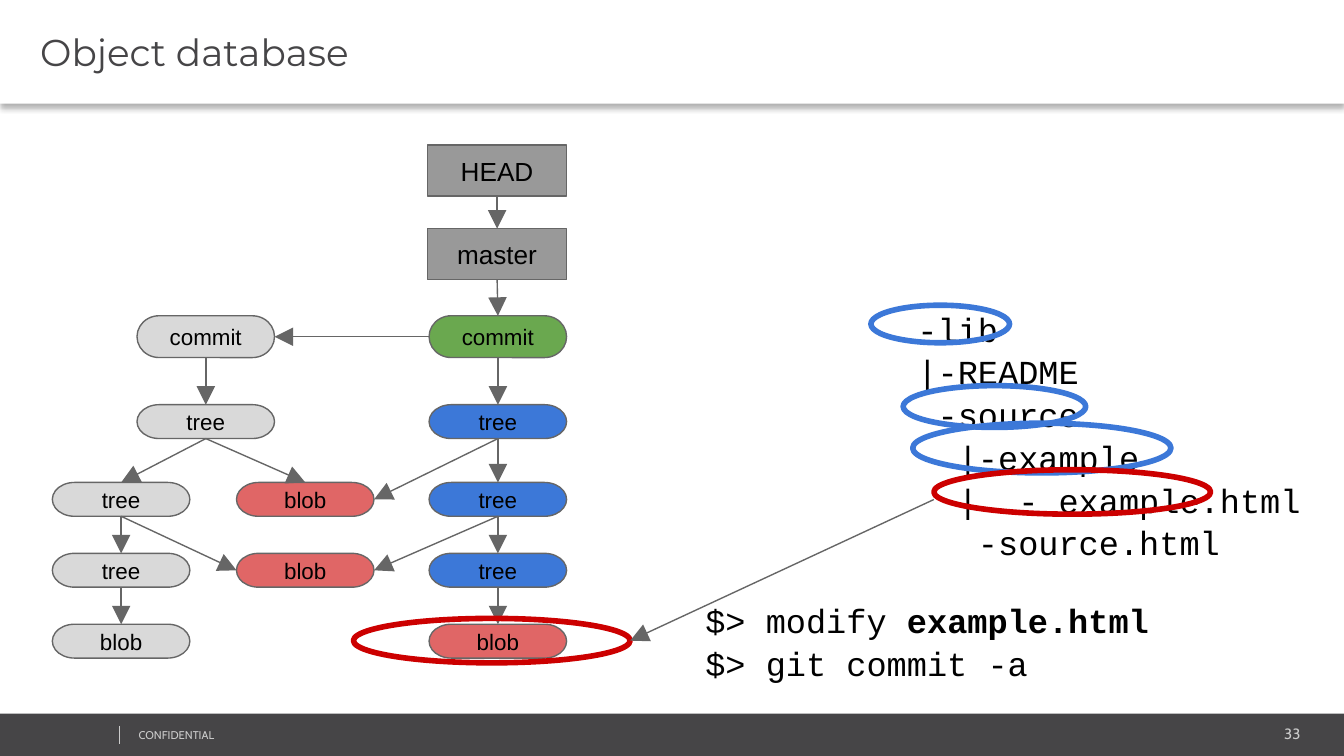
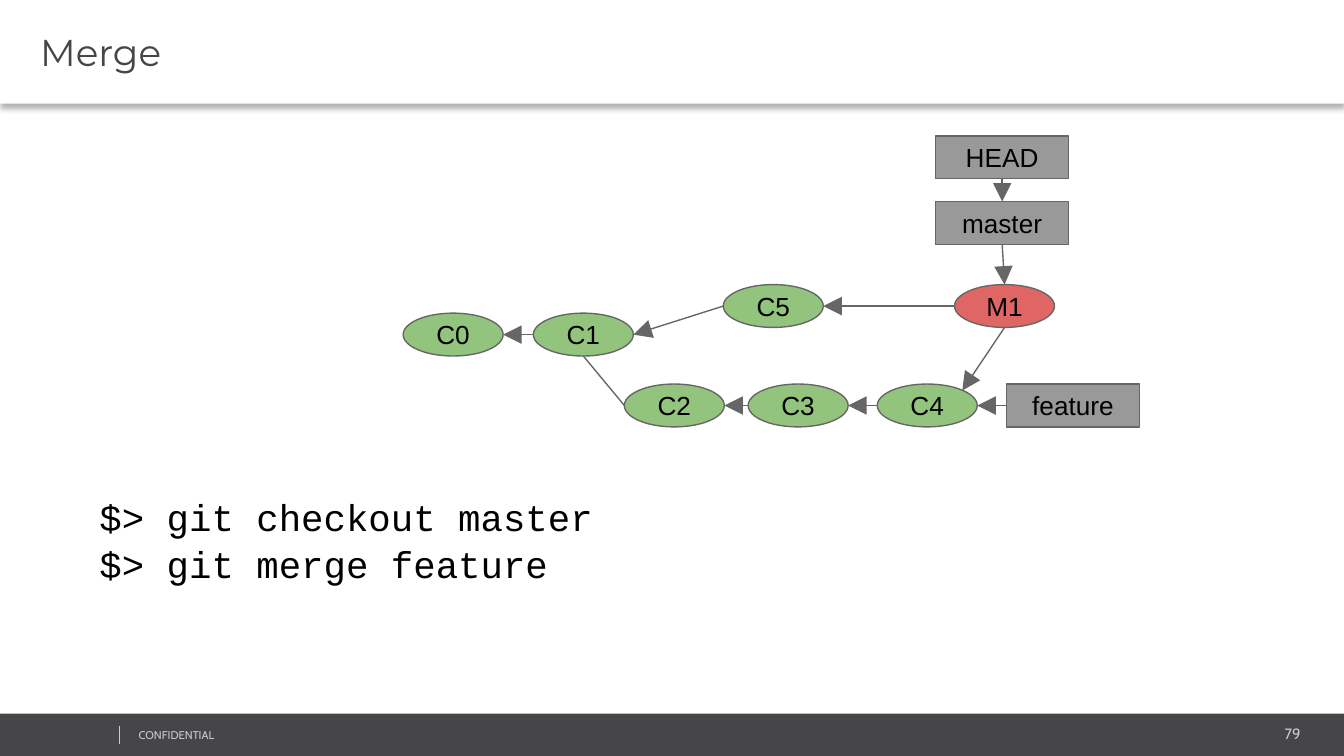
"""Build two slides on the git object database and on merging."""
from pptx import Presentation
from pptx.dml.color import RGBColor
from pptx.enum.shapes import MSO_CONNECTOR as Link, MSO_SHAPE as Kind
from pptx.enum.text import MSO_ANCHOR as Anchor, PP_ALIGN as Align
from pptx.oxml import parse_xml
from pptx.oxml.ns import nsdecls, qn
from pptx.util import Cm, Pt

COLORS = {
    "white": "FFFFFF", "black": "000000", "charcoal": "464547", "footer": "CCCCCC",
    "line": "666666", "ref": "999999", "old": "D9D9D9", "commit": "6AA84F",
    "tree": "3C78D8", "blob": "E06666", "red": "CC0000", "leaf": "93C47D",
}
RGB = {name: RGBColor.from_string(value) for name, value in COLORS.items()}
SIDES = {
    "top": (0.5, 0, 0), "left": (0, 0.5, 1), "bottom": (0.5, 1, 2), "right": (1, 0.5, 3),
    "top right": (0.85, 0.15, None), "lower left": (0, 0.67, None),
}


def add_box(page, kind, place, lines=(), fill=None, line=None, weight=0.75, size=12,
            font="Arial", color="black", align=Align.CENTER, anchor=Anchor.MIDDLE,
            inset=(0.25, 0.25), spacing=1.0):
    frame = [Cm(value) for value in place]
    if kind is None:
        box = page.shapes.add_textbox(*frame)
    else:
        box = page.shapes.add_shape(kind, *frame)
        box.shadow.inherit = False
        if fill:
            box.fill.solid()
            box.fill.fore_color.rgb = RGB[fill]
        else:
            box.fill.background()
        if line:
            box.line.color.rgb = RGB[line]
            box.line.width = Pt(weight)
        else:
            box.line.fill.background()
    text = box.text_frame
    text.word_wrap = True
    text.vertical_anchor = anchor
    text.margin_left = text.margin_right = Cm(inset[0])
    text.margin_top = text.margin_bottom = Cm(inset[1])
    for number, spans in enumerate(lines):
        para = text.add_paragraph() if number else text.paragraphs[0]
        para.alignment = align
        para.line_spacing = spacing
        for position, words in enumerate(spans):
            span = para.add_run()
            span.text = words
            span.font.name = font
            span.font.size = Pt(size)
            span.font.bold = position > 0
            span.font.color.rgb = RGB[color]
    return box


def add_arrow(page, start, start_side, end, end_side, head=True):
    points = []
    for box, side in ((start, start_side), (end, end_side)):
        across, down, _ = SIDES[side]
        points += [int(box.left + across * box.width), int(box.top + down * box.height)]
    arrow = page.shapes.add_connector(Link.STRAIGHT, *points)
    if start.auto_shape_type != Kind.OVAL:
        arrow.begin_connect(start, SIDES[start_side][2])
    if end.auto_shape_type != Kind.OVAL:
        arrow.end_connect(end, SIDES[end_side][2])
    arrow.line.color.rgb = RGB["line"]
    arrow.line.width = Pt(0.75)
    properties = arrow._element.spPr
    if head:
        properties.find(qn("a:ln")).append(parse_xml(
            f'<a:tailEnd {nsdecls("a")} type="triangle" w="lg" len="lg"/>'))
    properties.append(parse_xml(f'<a:effectLst {nsdecls("a")}/>'))


deck = Presentation()
deck.slide_width, deck.slide_height = Cm(25.4), Cm(14.29)
code = dict(font="Courier New", align=Align.LEFT, anchor=Anchor.TOP, spacing=1.06)
small = dict(font="Cabin", color="footer", anchor=Anchor.TOP, inset=(0.18, 0.09))

pages = []
for heading, number in (("Object database", "33"), ("Merge", "79")):
    page = deck.slides.add_slide(deck.slide_layouts[5])
    pages.append(page)
    add_box(page, Kind.RECTANGLE, (0, 13.49, 25.4, 0.8), fill="charcoal")
    add_box(page, None, (20.62, 13.61, 4.14, 0.53), [[number]], size=8,
            align=Align.RIGHT, **small)
    add_box(page, None, (2.44, 13.67, 6.43, 0.46), [["CONFIDENTIAL"]], size=6,
            align=Align.LEFT, **small)
    divider = page.shapes.add_connector(Link.STRAIGHT, Cm(2.26), Cm(13.72), Cm(2.26), Cm(14.07))
    divider.line.color.rgb = RGB["footer"]
    divider.line.width = Pt(0.25)
    divider._element.spPr.append(parse_xml(f'<a:effectLst {nsdecls("a")}/>'))

    title = page.shapes.title
    title.left, title.top, title.width, title.height = Cm(0), Cm(0), Cm(25.4), Cm(1.96)
    title.fill.solid()
    title.fill.fore_color.rgb = RGB["white"]
    title.shadow.inherit = False
    title._element.spPr.find(qn("a:effectLst")).append(parse_xml(
        f'<a:outerShdw {nsdecls("a")} blurRad="39370" dist="25400" dir="5400000" '
        'algn="t" rotWithShape="0"><a:srgbClr val="000000"><a:alpha val="30000"/>'
        '</a:srgbClr></a:outerShdw>'))
    text = title.text_frame
    text.vertical_anchor = Anchor.MIDDLE
    text.margin_left, text.margin_right = Cm(0.76), Cm(0.18)
    text.margin_top = text.margin_bottom = Cm(0.09)
    para = text.paragraphs[0]
    para.alignment = Align.LEFT
    span = para.add_run()
    span.text = heading
    span.font.name = "Montserrat"
    span.font.size = Pt(20)
    span.font.color.rgb = RGB["charcoal"]

objects, merge = pages

rows = {"commit": (5.97, 0.79), "root": (7.65, 0.64), "lib": (9.12, 0.64),
        "source": (10.46, 0.64), "leaf": (11.8, 0.64)}
nodes = {}
for name, left, row, label, fill in (
    ("old commit", 2.59, "commit", "commit", "old"),
    ("old root", 2.59, "root", "tree", "old"),
    ("old lib", 0.99, "lib", "tree", "old"),
    ("old source", 0.99, "source", "tree", "old"),
    ("old leaf", 0.99, "leaf", "blob", "old"),
    ("shared lib", 4.47, "lib", "blob", "blob"),
    ("shared source", 4.47, "source", "blob", "blob"),
    ("new commit", 8.11, "commit", "commit", "commit"),
    ("new root", 8.11, "root", "tree", "tree"),
    ("new lib", 8.11, "lib", "tree", "tree"),
    ("new source", 8.11, "source", "tree", "tree"),
    ("new leaf", 8.11, "leaf", "blob", "blob"),
):
    top, height = rows[row]
    nodes[name] = add_box(objects, Kind.FLOWCHART_TERMINATOR, (left, top, 2.6, height),
                          [[label]], fill=fill, line="line")
for label, top in (("HEAD", 2.74), ("master", 4.32)):
    nodes[label] = add_box(objects, Kind.RECTANGLE, (8.08, top, 2.63, 0.97), [[label]],
                           fill="ref", line="line", size=14)

chains = (
    ("HEAD", "master", "new commit", "new root", "new lib", "new source", "new leaf"),
    ("old commit", "old root", "old lib", "old source", "old leaf"),
)
for chain in chains:
    for start, end in zip(chain, chain[1:]):
        add_arrow(objects, nodes[start], "bottom", nodes[end], "top")
for start, start_side, end, end_side in (
    ("old root", "bottom", "shared lib", "top"),
    ("old lib", "bottom", "shared source", "left"),
    ("new root", "bottom", "shared lib", "right"),
    ("new lib", "bottom", "shared source", "right"),
    ("new commit", "left", "old commit", "right"),
):
    add_arrow(objects, nodes[start], start_side, nodes[end], end_side)

add_box(objects, None, (17.09, 5.54, 7.85, 6.12), [
    ["-lib"],
    ["|-README"],
    [" -source"],
    ["  |-example"],
    ["  |  - example.html"],
    ["   -source.html"],
], size=18, **code)
for place in ((16.46, 5.77, 2.62, 0.71), (17.25, 8, 4.88, 0.94), (17.07, 7.29, 3.45, 0.79)):
    add_box(objects, Kind.OVAL, place, line="tree", weight=3)
changed_file = add_box(objects, Kind.OVAL, (17.65, 8.88, 5.23, 0.84), line="red", weight=3)
add_box(objects, None, (13.08, 11.05, 10.13, 2.21),
        [["$> modify ", "example.html"], ["$> git commit -a"]], size=18, **code)
changed_blob = add_box(objects, Kind.OVAL, (6.68, 11.69, 5.23, 0.84), line="red", weight=3)
add_arrow(objects, changed_file, "lower left", changed_blob, "right")

graph = {}
for label, left, top, fill in (
    ("С0", 7.62, 5.92, "leaf"), ("С1", 10.08, 5.92, "leaf"), ("С2", 11.8, 7.26, "leaf"),
    ("С3", 14.14, 7.26, "leaf"), ("С4", 16.58, 7.26, "leaf"), ("С5", 13.67, 5.38, "leaf"),
    ("M1", 18.04, 5.38, "blob"),
):
    graph[label] = add_box(merge, Kind.OVAL, (left, top, 1.89, 0.81), [[label]],
                           fill=fill, line="line", size=14)
for label, left, top in (("HEAD", 17.68, 2.57), ("master", 17.68, 3.81),
                         ("feature", 19.02, 7.26)):
    graph[label] = add_box(merge, Kind.RECTANGLE, (left, top, 2.52, 0.81), [[label]],
                           fill="ref", line="line", size=14)
for start, end in (("С1", "С0"), ("С3", "С2"), ("С4", "С3"), ("С5", "С1"),
                   ("M1", "С5"), ("feature", "С4")):
    add_arrow(merge, graph[start], "left", graph[end], "right")
for start, end in (("HEAD", "master"), ("master", "M1")):
    add_arrow(merge, graph[start], "bottom", graph[end], "top")
add_arrow(merge, graph["M1"], "bottom", graph["С4"], "top right")
add_arrow(merge, graph["С1"], "bottom", graph["С2"], "left", head=False)
add_box(merge, None, (1.63, 9.04, 11.1, 4.14),
        [["$> git checkout master"], ["$> git merge feature"]], size=20, **code)

deck.save("out.pptx")
